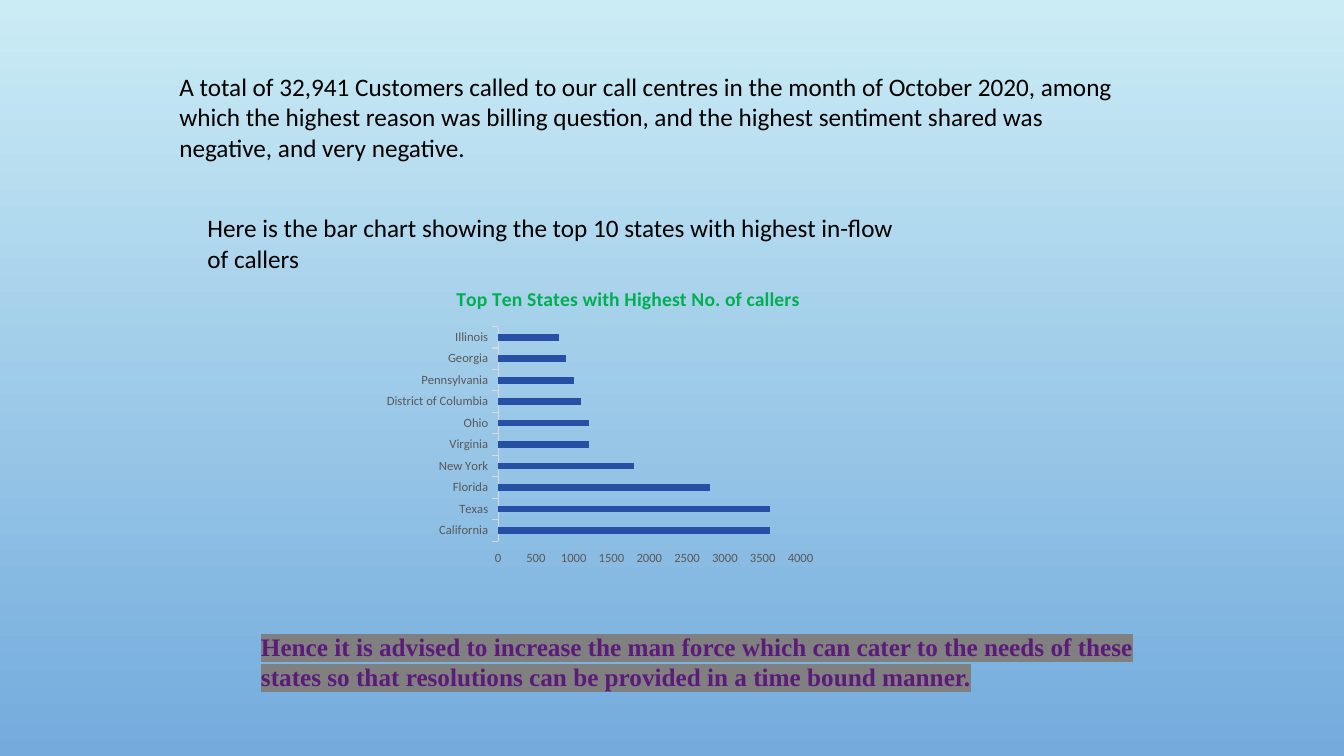
import pptx
import pptx.chart.data
import pptx.dml.color
import pptx.enum.chart
import pptx.oxml
import pptx.oxml.ns
import pptx.util
from pptx.util import Inches

COLORS = {
    "sky_top": "CBECF5", "sky_bottom": "73ABDD", "black": "000000",
    "green": "00B050", "bar": "274FA4", "label": "595959",
    "axis": "D9D9D9", "purple": "5C1B7B", "highlight": "808080",
}
NS = pptx.oxml.ns.nsdecls("a", "c")


def rgb(name):
    return pptx.dml.color.RGBColor.from_string(COLORS[name])


def set_layout(element, index, **values):
    """Give a chart part a manual layout, in fractions of the chart."""
    for old in element.findall(pptx.oxml.ns.qn("c:layout")):
        element.remove(old)
    target = '<c:layoutTarget val="inner"/>' if "w" in values else ""
    modes = '<c:xMode val="edge"/><c:yMode val="edge"/>'
    sizes = "".join(f'<c:{key} val="{val}"/>' for key, val in values.items())
    element.insert(index, pptx.oxml.parse_xml(
        f"<c:layout {NS}><c:manualLayout>{target}{modes}{sizes}</c:manualLayout></c:layout>"))


prs = pptx.Presentation()
prs.slide_width, prs.slide_height = Inches(13.33), Inches(7.5)
s = prs.slides.add_slide(prs.slide_layouts[6])

# Background gradient, light at the top
fill = s.background.fill
fill.gradient()
fill.gradient_angle = 270
for stop, name in zip(fill.gradient_stops, ("sky_top", "sky_bottom")):
    stop.color.rgb = rgb(name)

# Text blocks: box, text, font, colour, bold, highlight
texts = [
    ((1.68, 0.66, 9.48, 1.01),
     "A total of 32,941 Customers called to our call centres in the month of October 2020, "
     "among which the highest reason was billing question, and the highest sentiment shared "
     "was negative, and very negative.", "Calibri", "black", False, None),
    ((1.96, 2.06, 7.17, 0.71),
     "Here is the bar chart showing the top 10 states with highest in-flow of callers",
     "Calibri", "black", False, None),
    ((2.49, 6.21, 9.12, 0.71),
     "Hence it is advised to increase the man force which can cater to the needs of these "
     "states so that resolutions can be provided in a time bound manner.",
     "Times New Roman", "purple", True, "highlight"),
]
for box, text, font, color, bold, highlight in texts:
    tf = s.shapes.add_textbox(*map(Inches, box)).text_frame
    tf.word_wrap = True
    tf.text = text
    r = tf.paragraphs[0].runs[0]
    r.font.size = pptx.util.Pt(18)
    r.font.bold = bold
    r.font.name = font
    r.font.color.rgb = rgb(color)
    if highlight:
        rPr = r.font.fill._xPr
        rPr.find(pptx.oxml.ns.qn("a:solidFill")).addnext(pptx.oxml.parse_xml(
            f'<a:highlight {NS}><a:srgbClr val="{COLORS[highlight]}"/></a:highlight>'))

# Bar chart of callers by state
callers = {
    "California": 3600, "Texas": 3600, "Florida": 2800, "New York": 1800,
    "Virginia": 1200, "Ohio": 1200, "District of Columbia": 1100,
    "Pennsylvania": 1000, "Georgia": 900, "Illinois": 800,
}
data = pptx.chart.data.CategoryChartData()
data.categories = list(callers)
data.add_series("Series 1", list(callers.values()))
chart = s.shapes.add_chart(
    pptx.enum.chart.XL_CHART_TYPE.BAR_CLUSTERED,
    Inches(3.69), Inches(2.64), Inches(5), Inches(3), data).chart
chart.has_legend = False
chart.font.size = pptx.util.Pt(10)
chart.font.name = "Calibri"

plot = chart.plots[0]
plot.gap_width = 219
plot.vary_by_categories = False
bars = plot.series[0].format.fill
bars.solid()
bars.fore_color.rgb = rgb("bar")

# Chart title
chart.has_title = True
tf = chart.chart_title.text_frame
tf.text = "Top Ten States with Highest No. of callers"
r = tf.paragraphs[0].runs[0]
r.font.size = pptx.util.Pt(14)
r.font.bold = True
r.font.name = "Calibri"
r.font.color.rgb = rgb("green")

# Axes
for axis in (chart.category_axis, chart.value_axis):
    axis.has_major_gridlines = False
    axis.major_tick_mark = pptx.enum.chart.XL_TICK_MARK.OUTSIDE
    axis.tick_labels.font.size = pptx.util.Pt(9)
    axis.tick_labels.font.name = "Calibri"
    axis.tick_labels.font.color.rgb = rgb("label")
chart.category_axis.format.line.color.rgb = rgb("axis")
chart.category_axis.format.line.width = pptx.util.Pt(0.75)
chart.value_axis.format.line.fill.background()
chart.value_axis.minimum_scale = 0
chart.value_axis.maximum_scale = 4000
chart.value_axis.major_unit = 500

# Places of the title and the plot inside the chart
title = chart.chart_title._element
set_layout(title, 1, x=0.16, y=0.05)
set_layout(title.getparent().find(pptx.oxml.ns.qn("c:plotArea")), 0,
           x=0.25, y=0.2, w=0.6, h=0.71)

prs.save("out.pptx")
